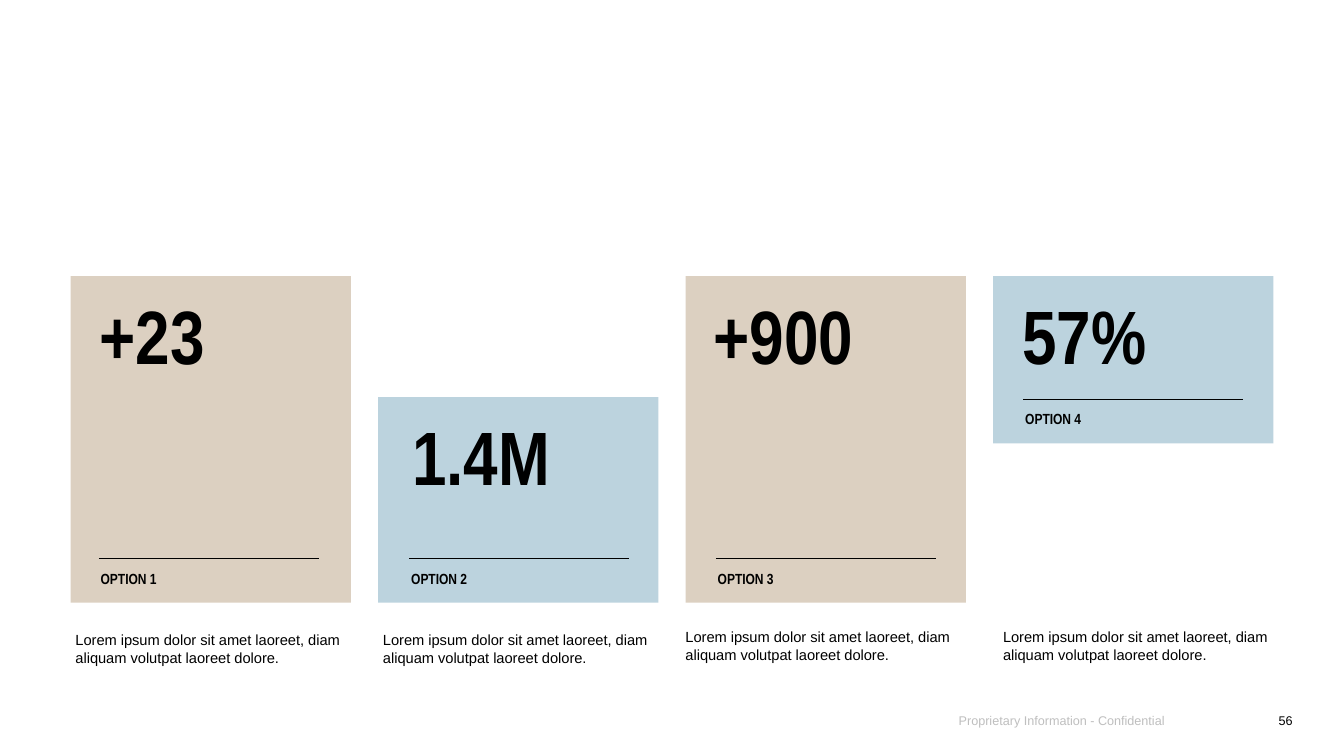
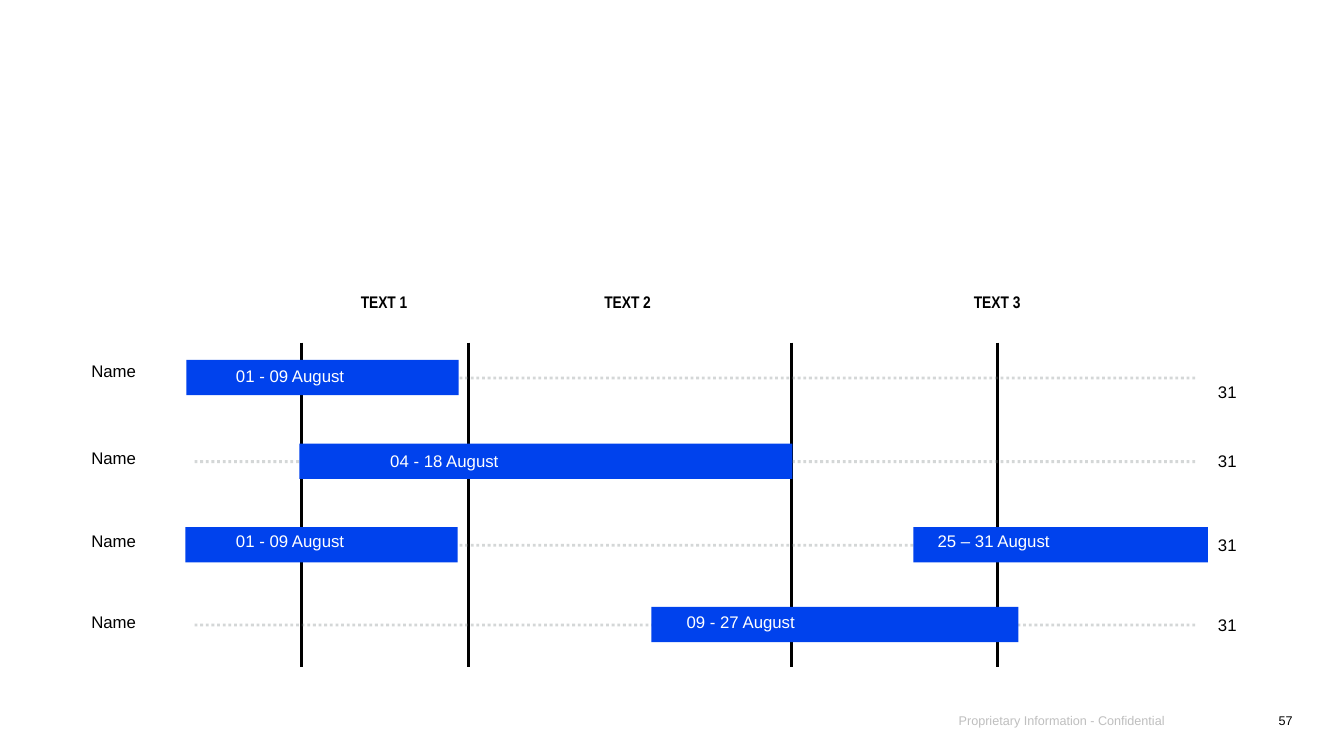
"""Build an option comparison slide and an August timeline slide."""
from lxml import etree
from pptx import Presentation
from pptx.dml.color import RGBColor
from pptx.enum.dml import MSO_LINE
from pptx.enum.shapes import MSO_CONNECTOR, MSO_SHAPE
from pptx.enum.text import MSO_ANCHOR, PP_ALIGN
from pptx.oxml.ns import qn
from pptx.util import Inches, Pt

RECT = MSO_SHAPE.RECTANGLE
STRAIGHT = MSO_CONNECTOR.STRAIGHT
DOTTED = MSO_LINE.ROUND_DOT
TOP, MIDDLE = MSO_ANCHOR.TOP, MSO_ANCHOR.MIDDLE
LEFT, CENTER, RIGHT = PP_ALIGN.LEFT, PP_ALIGN.CENTER, PP_ALIGN.RIGHT

BODY, HEADING = "Arial", "Arial Narrow"
BLACK, WHITE, FOOTER_GRAY = "000000", "FFFFFF", "BFBFBF"
SAND, SKY, BLUE, TRACK_GRAY = "DCD0C1", "BCD3DE", "0042ED", "717C7D"

FIRST_PAGE = 56
FOOTER = "Proprietary Information - Confidential"
CAPTION = "Lorem ipsum dolor sit amet laoreet, diam aliquam volutpat laoreet dolore."

CARD_LEFT, CARD_STEP, CARD_W = 0.7, 3.05, 2.78
CARDS = [
    # value, fill, top, bottom, value left, rule left, caption left, caption top
    ("+23", SAND, 2.74, 5.98, 0.89, 0.98, 0.65, 6.21),
    ("1.4M", SKY, 3.94, 5.98, 3.99, 4.06, 3.7, 6.21),
    ("+900", SAND, 2.74, 5.98, 6.98, 7.1, 6.7, 6.18),
    ("57%", SKY, 2.74, 4.4, 10.04, 10.15, 9.85, 6.18),
]

MARKERS = [2.99, 4.65, 7.85, 9.89]
HEADERS = [("TEXT 1", 2.98, 1.66), ("TEXT 2", 4.62, 3.21), ("TEXT 3", 7.88, 4.02)]
ROWS = [
    # track y, name top, day top, bars of (text, left, width, text left)
    (3.75, 3.52, 3.73, [("01 - 09 August", 1.85, 2.7, 2.34)]),
    (4.58, 4.38, 4.41, [("04 - 18 August", 2.97, 4.89, 3.87)]),
    (5.41, 5.2, 5.24, [("01 - 09 August", 1.84, 2.7, 2.34),
                       ("25 – 31 August", 9.06, 2.92, 9.3)]),
    (6.2, 6.01, 6.04, [("09 - 27 August", 6.46, 3.64, 6.81)]),
]
BAR_TEXT_TOPS = [3.57, 4.41, 5.2, 6.01]


def rgb(value):
    """Turn a hex string into a colour."""
    return RGBColor.from_string(value)


def add_text(s, text, x, y, w, h, size=12, font=BODY, color=BLACK, bold=False,
             align=LEFT, anchor=MIDDLE, inset=(0, 0)):
    """Add a wrapped text box with one formatted run."""
    tf = s.shapes.add_textbox(Inches(x), Inches(y), Inches(w), Inches(h)).text_frame
    tf.word_wrap = True
    tf.vertical_anchor = anchor
    tf.margin_left = tf.margin_right = Inches(inset[0])
    tf.margin_top = tf.margin_bottom = Inches(inset[1])
    p = tf.paragraphs[0]
    p.alignment = align
    r = p.add_run()
    r.text = text
    r.font.size, r.font.name, r.font.bold = Pt(size), font, bold
    r.font.color.rgb = rgb(color)


def add_rect(s, x, y, w, h, fill):
    """Add a flat rectangle without an outline."""
    sp = s.shapes.add_shape(RECT, Inches(x), Inches(y), Inches(w), Inches(h))
    sp.shadow.inherit = False
    sp.fill.solid()
    sp.fill.fore_color.rgb = rgb(fill)
    sp.line.fill.background()


def add_line(s, x1, y1, x2, y2, width, color=BLACK, dash=None, opacity=None):
    """Add a straight line, optionally dashed and translucent."""
    line = s.shapes.add_connector(STRAIGHT, Inches(x1), Inches(y1), Inches(x2), Inches(y2))
    line.line.width = Pt(width)
    line.line.color.rgb = rgb(color)
    if dash is not None:
        line.line.dash_style = dash
    sp_pr = line._element.spPr
    if opacity is not None:
        clr = sp_pr.find(".//" + qn("a:srgbClr"))
        etree.SubElement(clr, qn("a:alpha")).set("val", str(opacity * 1000))
    etree.SubElement(sp_pr, qn("a:effectLst"))


def new_slide(prs):
    """Add a blank slide with the footer and page number."""
    s = prs.slides.add_slide(prs.slide_layouts[6])
    page = FIRST_PAGE + len(prs.slides) - 1
    add_text(s, FOOTER, 9.41, 6.95, 2.41, 0.4, size=9, color=FOOTER_GRAY, inset=(0.1, 0.05))
    add_text(s, str(page), 11.85, 6.95, 1.07, 0.4, size=9, align=RIGHT, inset=(0.1, 0.05))
    return s


def add_card(s, index, card):
    """Add one option card with its value, label and caption."""
    value, fill, top, bottom, value_x, rule_x, caption_x, caption_y = card
    box = {"anchor": TOP, "inset": (0.1, 0.05)}
    heading = {"font": HEADING, "bold": True, **box}
    rule_y = bottom - 0.44
    add_rect(s, CARD_LEFT + index * CARD_STEP, top, CARD_W, bottom - top, fill)
    add_line(s, rule_x, rule_y, rule_x + 2.18, rule_y, 0.75)
    add_text(s, f"OPTION {index + 1}", rule_x - 0.08, bottom - 0.38, 2.18, 0.29,
             size=10.5, **heading)
    add_text(s, value, value_x, top + 0.08, 2.5, 1.01, size=54, **heading)
    add_text(s, CAPTION, caption_x, caption_y, 2.84, 0.45, size=10.5, **box)


def options_slide(prs):
    """Build the four option cards."""
    s = new_slide(prs)
    for index, card in enumerate(CARDS):
        add_card(s, index, card)


def timeline_slide(prs):
    """Build the timeline with its markers, tracks and bars."""
    s = new_slide(prs)
    for x in MARKERS:
        add_line(s, x, 3.4, x, 6.62, 2)
    for text, x, w in HEADERS:
        add_text(s, text, x, 2.83, w, 0.32, font=HEADING, bold=True, align=CENTER)
    for (y, name_y, day_y, bars), text_y in zip(ROWS, BAR_TEXT_TOPS):
        add_line(s, 1.93, y, 11.88, y, 2, TRACK_GRAY, DOTTED, opacity=30)
        add_text(s, "Name", 0.61, name_y, 0.74, 0.32, align=RIGHT)
        add_text(s, "31", 12.08, day_y, 0.35, 0.32)
        for text, x, w, text_x in bars:
            add_rect(s, x, y - 0.18, w, 0.35, BLUE)
            add_text(s, text, text_x, text_y, 2.09, 0.32, color=WHITE)


def main():
    """Build and save the presentation."""
    prs = Presentation()
    prs.slide_width, prs.slide_height = Inches(13.33), Inches(7.5)
    options_slide(prs)
    timeline_slide(prs)
    prs.save("out.pptx")


if __name__ == "__main__":
    main()
